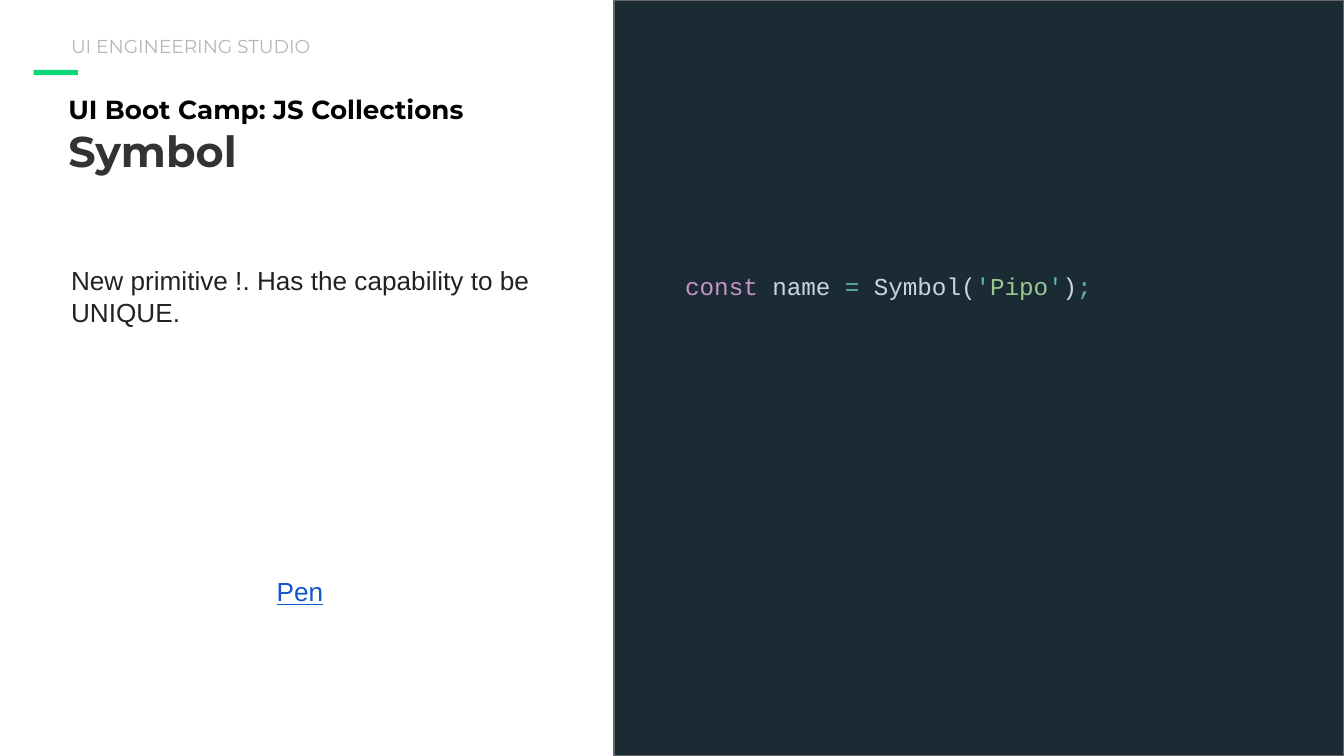
import pptx
import pptx.util
import pptx.dml.color
import pptx.enum.shapes
import pptx.enum.text

Inches = pptx.util.Inches
ANCHOR = pptx.enum.text.MSO_ANCHOR

WIDTH = 10
HEIGHT = WIDTH * 9 / 16
PANEL_LEFT = 4.57

COLORS = {
    "panel": "1B2B34", "border": "666666", "accent": "0AD876",
    "black": "000000", "heading": "333333", "label": "B7B7B7",
    "body": "222222", "link": "1155CC", "keyword": "C594C5",
    "plain": "CDD3DE", "operator": "5FB3B3", "string": "99C794",
}

BARS = [
    ((PANEL_LEFT, 0, WIDTH - PANEL_LEFT, HEIGHT), "panel", "border"),
    ((0.25, 0.52, 0.33, 0.04), "accent", None),
]

CODE = [
    ("const ", "keyword"), ("name", "plain"), (" =", "operator"),
    (" Symbol(", "plain"), ("'", "operator"), ("Pipo", "string"),
    ("'", "operator"), (")", "plain"), (";", "operator"),
]

TEXTS = [
    {"at": (0.41, 0.56, 4.59, 0.95), "font": "Montserrat", "bold": True,
     "lines": [(14, 1.15, [("UI Boot Camp: JS Collections", "black")]),
               (23, 1, [("Symbol", "heading")])]},
    {"at": (0.43, 0.2, 3.78, 0.26), "font": "Montserrat", "anchor": ANCHOR.MIDDLE,
     "lines": [(10, 1.15, [("UI ENGINEERING STUDIO", "label")])]},
    {"at": (5, 1.91, 3.78, 0.55), "font": "Courier New", "top": 0,
     "lines": [(13, 1.5, CODE)]},
    {"at": (0.43, 1.87, 3.78, 1.33), "font": "Arial",
     "lines": [(14, 1, [("New primitive !. Has the capability to be UNIQUE.", "body")])]},
    {"at": (1.96, 4.18, 0.72, 0.5), "font": "Arial", "underline": True,
     "lines": [(14, 1, [("Pen", "link")])]},
]


def rgb(name):
    return pptx.dml.color.RGBColor.from_string(COLORS[name])


def add_bar(s, at, fill, line):
    sp = s.shapes.add_shape(pptx.enum.shapes.MSO_SHAPE.RECTANGLE, *map(Inches, at))
    sp.shadow.inherit = False
    sp.fill.solid()
    sp.fill.fore_color.rgb = rgb(fill)
    if line:
        sp.line.color.rgb = rgb(line)
        sp.line.width = pptx.util.Pt(0.75)
    else:
        sp.line.fill.background()


def add_text(s, box):
    tf = s.shapes.add_textbox(*map(Inches, box["at"])).text_frame
    tf.word_wrap = True
    tf.vertical_anchor = box.get("anchor", ANCHOR.TOP)
    tf.margin_left = tf.margin_right = tf.margin_bottom = Inches(0.1)
    tf.margin_top = Inches(box.get("top", 0.1))
    for i, (size, spacing, runs) in enumerate(box["lines"]):
        p = tf.add_paragraph() if i else tf.paragraphs[0]
        p.line_spacing = float(spacing)
        for text, color in runs:
            r = p.add_run()
            r.text = text
            r.font.name = box["font"]
            r.font.size = pptx.util.Pt(size)
            r.font.bold = box.get("bold", False)
            r.font.underline = box.get("underline", False)
            r.font.color.rgb = rgb(color)


def main():
    prs = pptx.Presentation()
    prs.slide_width, prs.slide_height = Inches(WIDTH), Inches(HEIGHT)
    s = prs.slides.add_slide(prs.slide_layouts[6])
    for bar in BARS:
        add_bar(s, *bar)
    for box in TEXTS:
        add_text(s, box)
    prs.save("out.pptx")


if __name__ == "__main__":
    main()
